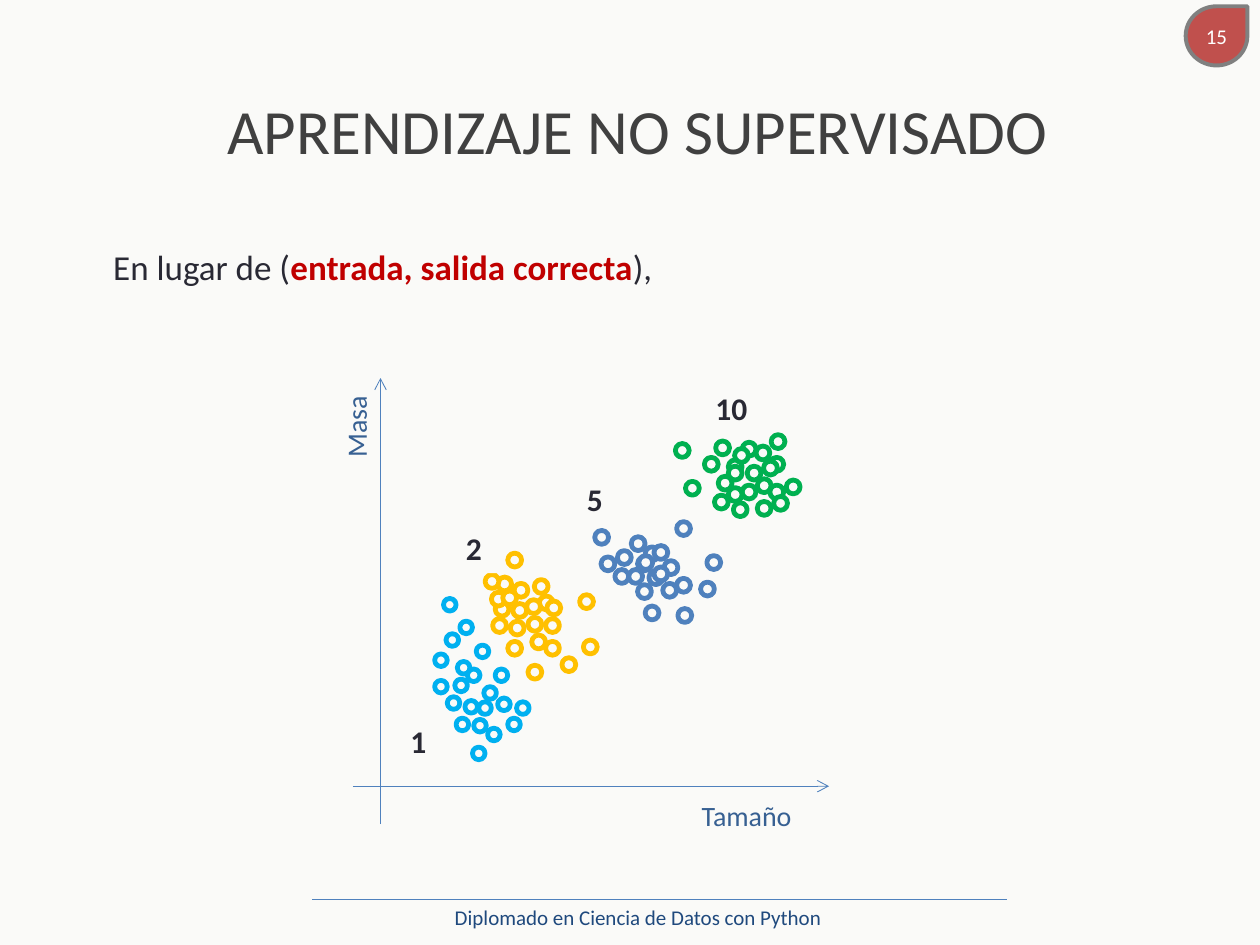
from dataclasses import dataclass

from lxml import etree
from pptx import Presentation
from pptx.dml.color import RGBColor
from pptx.enum.shapes import MSO_CONNECTOR, MSO_SHAPE
from pptx.enum.text import MSO_ANCHOR, MSO_AUTO_SIZE, PP_ALIGN
from pptx.oxml.ns import qn
from pptx.util import Cm, Pt

STRAIGHT = MSO_CONNECTOR.STRAIGHT
ELLIPSE = MSO_SHAPE.OVAL
TEARDROP = MSO_SHAPE.TEAR
TOP, MIDDLE = MSO_ANCHOR.TOP, MSO_ANCHOR.MIDDLE
LEFT, CENTER = PP_ALIGN.LEFT, PP_ALIGN.CENTER
FIT, FIXED = MSO_AUTO_SIZE.SHAPE_TO_FIT_TEXT, MSO_AUTO_SIZE.NONE
CM_PER_INCH = 2.54


@dataclass
class Theme:
    font: str = "Calibri"
    paper: str = "FAFAF8"
    title: str = "404040"
    ink: str = "292934"
    accent: str = "C00000"
    axis: str = "4F81BD"
    axis_text: str = "376092"
    footer: str = "1F497D"
    badge: str = "C0504D"
    badge_line: str = "808080"
    white: str = "FFFFFF"
    gold: str = "FFC000"
    green: str = "00B050"
    sky: str = "00B0F0"
    title_size: int = 36
    body_size: int = 20
    label_size: int = 18
    axis_size: int = 16
    small_size: int = 12


def box(*inches):
    return [Cm(v * CM_PER_INCH) for v in inches]


def rgb(color):
    return RGBColor.from_string(color)


class SlideBuilder:
    def __init__(self, slide, theme):
        self.s = slide
        self.theme = theme

    def background(self, color):
        fill = self.s.background.fill
        fill.solid()
        fill.fore_color.rgb = rgb(color)

    def add_runs(self, tf, runs, size, align=LEFT, bold=False):
        p = tf.paragraphs[0]
        p.alignment = align
        p.font.name = self.theme.font
        p.font.size = Pt(size)
        p.font.bold = bold
        for text, color, strong in runs:
            r = p.add_run()
            r.text = text
            r.font.color.rgb = rgb(color)
            if strong:
                r.font.bold = True
        return p

    def text(self, at, runs, size, align=LEFT, anchor=TOP, bold=False,
             wrap=False, fill=None, vertical=False):
        sp = self.s.shapes.add_textbox(*box(*at))
        tf = sp.text_frame
        tf.word_wrap = wrap
        tf.auto_size = FIXED if wrap else FIT
        tf.vertical_anchor = anchor
        if fill:
            sp.fill.solid()
            sp.fill.fore_color.rgb = rgb(fill)
        if vertical:
            sp._element.txBody.find(qn("a:bodyPr")).set("vert", "vert270")
        return self.add_runs(tf, runs, size, align, bold)

    def line(self, start, end, arrow=False):
        c = self.s.shapes.add_connector(STRAIGHT, *box(*start, *end))
        c.line.color.rgb = rgb(self.theme.axis)
        c.line.width = Pt(0.5)
        spPr = c._element.spPr
        if arrow:
            tail = etree.SubElement(spPr.find(qn("a:ln")), qn("a:tailEnd"))
            tail.set("type", "arrow")
        etree.SubElement(spPr, qn("a:effectLst"))

    def shape(self, kind, at, fill, line, width):
        sp = self.s.shapes.add_shape(kind, *box(*at))
        sp.shadow.inherit = False
        sp.fill.solid()
        sp.fill.fore_color.rgb = rgb(fill)
        sp.line.color.rgb = rgb(line)
        sp.line.width = Pt(width)
        return sp

    def badge(self, at, number):
        sp = self.shape(TEARDROP, at, self.theme.badge, self.theme.badge_line, 2.25)
        tf = sp.text_frame
        tf.margin_left = tf.margin_right = tf.margin_top = tf.margin_bottom = Cm(0.1)
        tf.vertical_anchor = MIDDLE
        self.add_runs(tf, [(number, self.theme.white, False)], self.theme.small_size, CENTER)

    def cluster(self, points, color, size):
        for x, y in points:
            self.shape(ELLIPSE, (x, y, size, size), self.theme.paper, color, 2.75)


BLUE_POINTS = [
    (5.15, 4.53), (5.12, 4.34), (5.06, 4.42), (5.06, 4.64), (5.26, 4.63), (5.37, 4.59),
    (5.27, 4.45), (4.77, 4.42), (5.01, 4.26), (4.88, 4.52), (4.72, 4.21), (4.9, 4.37),
    (5.61, 4.41), (5.12, 4.81), (5.37, 4.14), (5.07, 4.41), (4.99, 4.52), (5.19, 4.5),
    (5.19, 4.33), (5.38, 4.83), (5.56, 4.62),
]
GREEN_POINTS = [
    (5.82, 3.99), (5.89, 3.51), (5.67, 3.93), (5.7, 3.78), (5.89, 3.85), (5.78, 3.65),
    (6.12, 3.45), (6.01, 3.98), (6.11, 3.85), (6, 3.54), (5.93, 3.7), (6.11, 3.63),
    (5.59, 3.63), (5.78, 3.7), (5.68, 3.5), (5.83, 3.56), (6.01, 3.8), (6.14, 3.94),
    (6.24, 3.81), (6.06, 3.66), (5.44, 3.82), (5.78, 3.87), (5.36, 3.52),
]
GOLD_POINTS = [
    (4.19, 4.9), (4.28, 4.73), (4.18, 4.76), (4.05, 4.93), (4.22, 5.04), (4.33, 5.09),
    (4.33, 4.91), (3.95, 4.58), (4.24, 4.6), (3.93, 4.78), (4.03, 4.39), (4.08, 4.63),
    (4.63, 5.08), (4.03, 5.09), (4.6, 4.72), (3.91, 4.91), (4.07, 4.79), (3.9, 4.7),
    (4.34, 4.77), (4.19, 5.28), (4.46, 5.22), (3.85, 4.56), (3.99, 4.69),
]
SKY_POINTS = [
    (3.69, 5.56), (3.61, 5.39), (4.03, 5.7), (3.84, 5.45), (3.71, 5.31), (3.63, 5.25),
    (3.45, 5.19), (3.87, 5.78), (3.62, 5.7), (4.1, 5.57), (3.75, 5.93), (3.76, 5.71),
    (3.52, 4.75), (3.93, 5.31), (3.45, 5.4), (3.95, 5.54), (3.8, 5.57), (3.54, 5.03),
    (3.55, 5.53), (3.78, 5.12), (3.65, 4.93),
]
CLUSTER_LABELS = [
    ("1", 3.16, 5.68, 0.34), ("2", 3.6, 4.15, 0.34),
    ("5", 4.56, 3.76, 0.34), ("10", 5.58, 3.04, 0.48),
]


def main():
    prs = Presentation()
    prs.slide_width, prs.slide_height = Cm(25.4), Cm(19.05)
    t = Theme()
    b = SlideBuilder(prs.slides.add_slide(prs.slide_layouts[6]), t)
    b.background(t.paper)

    b.line((2.48, 7.14), (7.99, 7.14))
    b.badge((9.41, 0.05, 0.49, 0.47), "15")
    p = b.text((1.12, 0.75, 7.88, 1.19), [("APRENDIZAJE NO SUPERVISADO", t.title, False)],
               t.title_size, CENTER, wrap=True)
    p.line_spacing = 0.89
    b.text((0.8, 1.9, 4.58, 0.44),
           [("En lugar de (", t.ink, False), ("entrada, salida correcta", t.accent, True),
            ("),", t.ink, False)], t.body_size)

    b.line((3.02, 6.54), (3.02, 3), arrow=True)
    b.line((2.8, 6.24), (6.58, 6.24), arrow=True)
    b.text((2.64, 3.14, 0.47, 0.59), [("Masa", t.axis_text, False)], t.axis_size, vertical=True)
    b.text((5.47, 6.29, 0.92, 0.37), [("Tamaño", t.axis_text, False)], t.axis_size, fill=t.paper)

    b.cluster(BLUE_POINTS, t.axis, 0.11)
    b.cluster(GREEN_POINTS, t.green, 0.11)
    b.cluster(GOLD_POINTS, t.gold, 0.11)
    b.cluster(SKY_POINTS, t.sky, 0.1)
    for label, x, y, width in CLUSTER_LABELS:
        b.text((x, y, width, 0.4), [(label, t.ink, False)], t.label_size, bold=True, fill=t.paper)

    b.text((1.13, 7.06, 7.87, 0.44),
           [("Diplomado en Ciencia de Datos con Python", t.footer, False)],
           t.small_size, CENTER, MIDDLE, wrap=True)
    prs.save("out.pptx")


if __name__ == "__main__":
    main()
